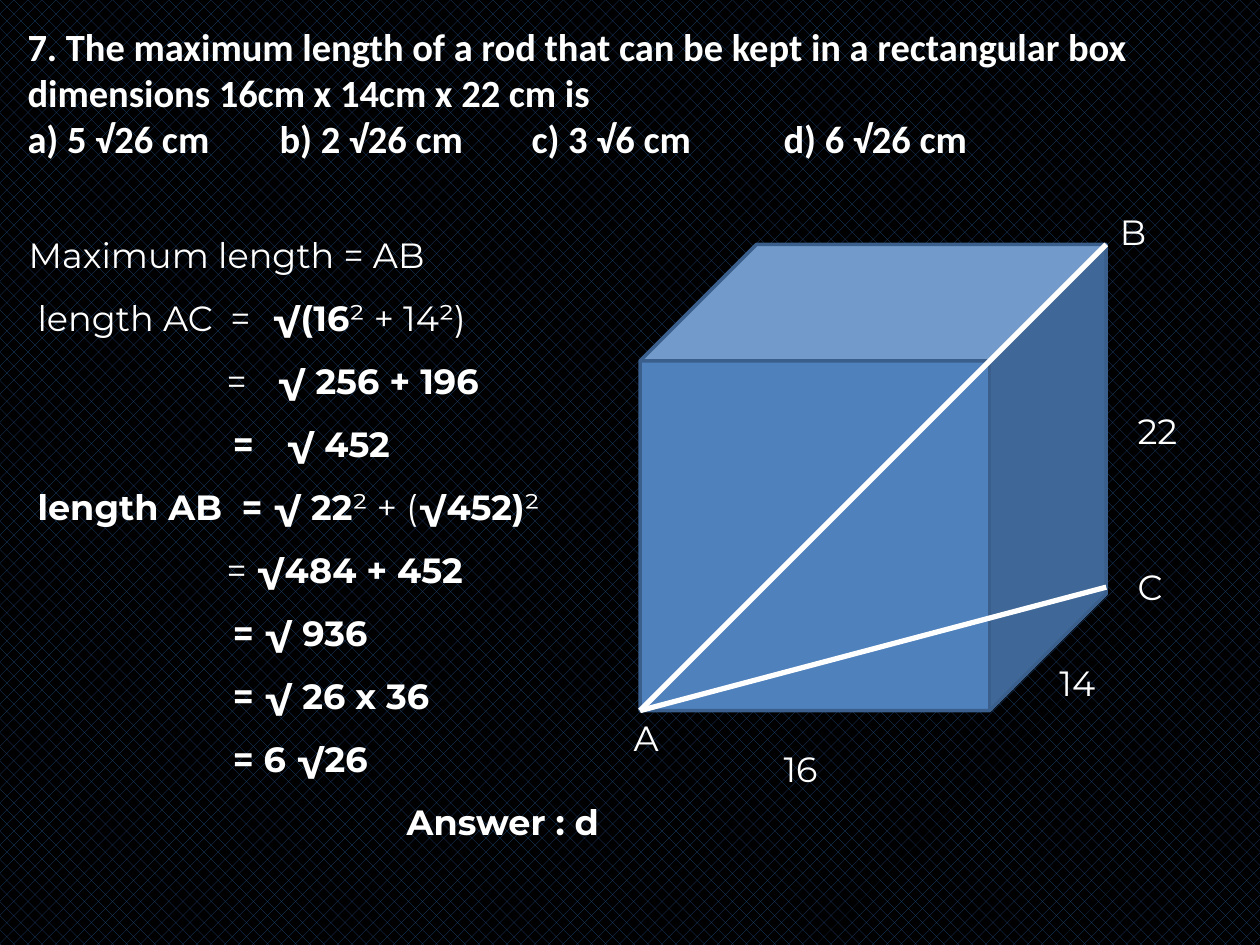
from lxml import etree
from pptx import Presentation
from pptx.dml.color import RGBColor
from pptx.enum.dml import MSO_PATTERN
from pptx.enum.shapes import MSO_CONNECTOR, MSO_SHAPE
from pptx.oxml.ns import qn
from pptx.util import Inches, Pt

CUBE = MSO_SHAPE.CUBE
STRAIGHT = MSO_CONNECTOR.STRAIGHT
DOTS = MSO_PATTERN.PERCENT_25
BLACK = RGBColor(0x00, 0x00, 0x00)
NAVY = RGBColor(0x1F, 0x49, 0x7D)
WHITE = RGBColor(0xFF, 0xFF, 0xFF)
BLUE = RGBColor(0x4F, 0x81, 0xBD)
EDGE = RGBColor(0x3A, 0x5F, 0x8C)


def add_box(left, top, width, height):
    frame = slide.shapes.add_textbox(
        Inches(left), Inches(top), Inches(width), Inches(height)).text_frame
    frame.word_wrap = True
    return frame


def write(para, runs, font="Montserrat", size=20, stops=()):
    """Fill a paragraph with (text, bold) runs, with tab stops in inches."""
    if stops:
        tabs = etree.SubElement(para._p.get_or_add_pPr(), qn("a:tabLst"))
        for stop in stops:
            etree.SubElement(tabs, qn("a:tab"), pos=str(Inches(stop)), algn="l")
    para.font.name = font
    para.font.size = Pt(size)
    para.font.color.rgb = WHITE
    for text, bold in runs:
        run = para.add_run()
        run.text = text
        run.font.bold = bold


prs = Presentation()
prs.slide_width = Inches(10)
prs.slide_height = Inches(7.5)
slide = prs.slides.add_slide(prs.slide_layouts[6])
back = slide.background.fill
back.patterned()
back.pattern = DOTS
back.fore_color.rgb = NAVY
back.back_color.rgb = BLACK

# Question and its options
ask = add_box(0.12, 0.13, 9.69, 1.21)
write(ask.paragraphs[0], [(
    "7. The maximum length of a rod that can be kept in a rectangular box "
    "dimensions 16cm x 14cm x 22 cm is", True)], "Calibri", 22)
write(ask.add_paragraph(), [(
    "a) 5 √26 cm\tb) 2 √26 cm\tc) 3 √6 cm\td) 6 √26 cm", True)],
    "Calibri", 22, (2, 4, 6))

# Box with its two diagonals
left, top, side = 5.08, 1.94, 3.7
cube = slide.shapes.add_shape(
    CUBE, Inches(left), Inches(top), Inches(side), Inches(side))
cube.shadow.inherit = False
cube.fill.solid()
cube.fill.fore_color.rgb = BLUE
cube.line.color.rgb = EDGE
cube.line.width = Pt(2)

for end in (top, 4.66):
    rod = slide.shapes.add_connector(
        STRAIGHT, Inches(left), Inches(top + side),
        Inches(left + side), Inches(end))
    rod.line.color.rgb = WHITE
    rod.line.width = Pt(3)
    etree.SubElement(rod._element.spPr, qn("a:effectLst"))

# Sizes and corners
labels = [
    ("16", 6.12, 5.88, 0.62),
    ("22", 8.93, 3.2, 0.62),
    ("14", 8.31, 5.2, 0.62),
    ("A", 4.93, 5.64, 0.47),
    ("C", 8.93, 4.44, 0.47),
    ("B", 8.79, 1.62, 0.47),
]
for text, x, y, width in labels:
    write(add_box(x, y, width, 0.44).paragraphs[0], [(text, False)])

# Worked solution: tab stops, then runs
steps = [
    ((), [("Maximum length = AB", False)]),
    ((0.07, 1.6, 1.93),
     [("\tlength AC\t=\t", False), ("√(16", True), ("² + 14²)", False)]),
    ((1.57, 1.97), [("\t=\t", False), ("√ 256 + 196", True)]),
    ((1.62, 2.04), [("\t=\t√ 452", True)]),
    ((0.07, 1.69),
     [("\tlength AB\t= √ 22", True), ("² + (", False),
      ("√452)", True), ("²", False)]),
    ((1.57,), [("\t= ", False), ("√484 + 452", True)]),
    ((1.62,), [("\t= √ 936", True)]),
    ((1.62,), [("\t= √ 26 x 36", True)]),
    ((1.62,), [("\t= 6 √26", True)]),
    ((3,), [("\tAnswer : d", True)]),
]
work = add_box(0.13, 1.64, 4.83, 5.15)
for i, (stops, runs) in enumerate(steps):
    para = work.add_paragraph() if i else work.paragraphs[0]
    write(para, runs, stops=stops)
    para.line_spacing = 1.5

prs.save("out.pptx")
